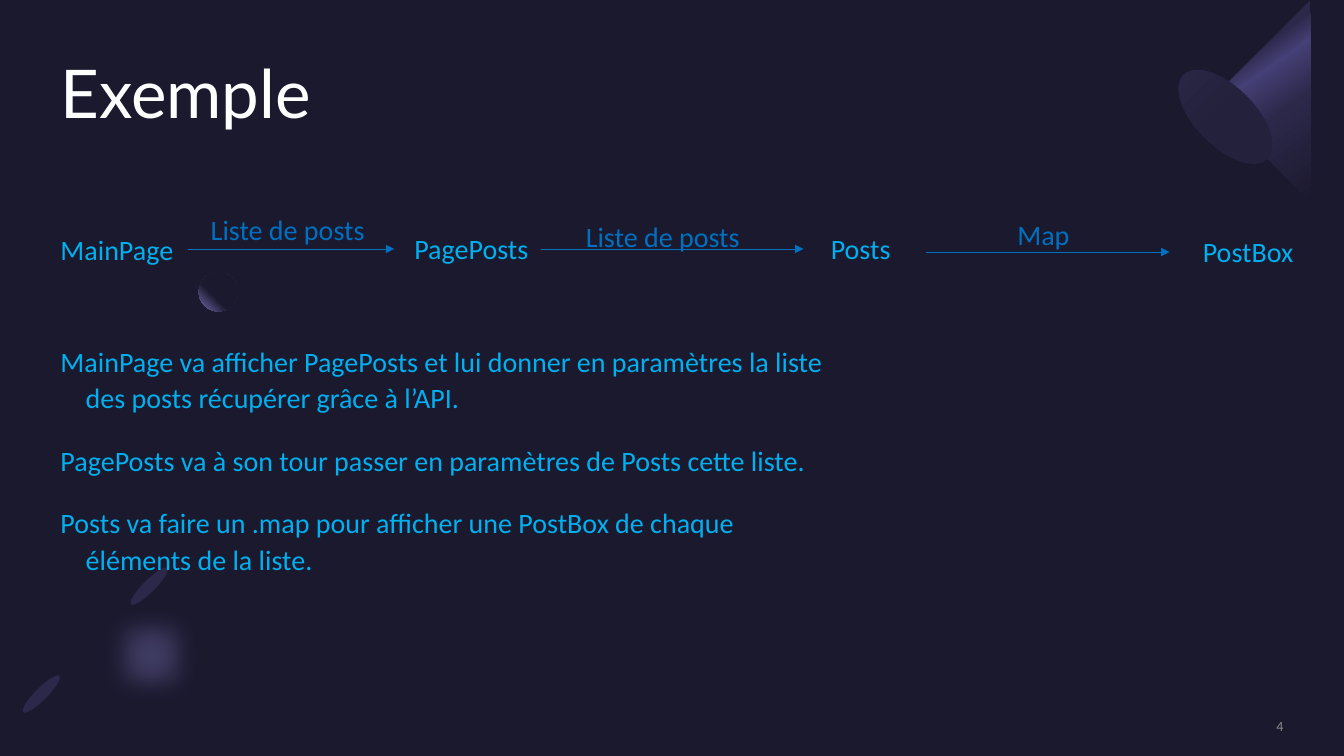
import math
from lxml import etree
from pptx import Presentation
from pptx.dml.color import RGBColor
from pptx.enum.shapes import MSO_CONNECTOR, MSO_SHAPE
from pptx.enum.text import MSO_ANCHOR, MSO_AUTO_SIZE, PP_ALIGN
from pptx.oxml import parse_xml
from pptx.oxml.ns import nsdecls, qn
from pptx.util import Inches, Pt

OVAL, STRAIGHT = MSO_SHAPE.OVAL, MSO_CONNECTOR.STRAIGHT
TOP, MIDDLE = MSO_ANCHOR.TOP, MSO_ANCHOR.MIDDLE
LEFT, RIGHT = PP_ALIGN.LEFT, PP_ALIGN.RIGHT
NIGHT = RGBColor(0x1B, 0x19, 0x2E)
DUSK = RGBColor(0x23, 0x21, 0x3C)
INDIGO = RGBColor(0x2C, 0x28, 0x4A)
VIOLET = RGBColor(0x45, 0x40, 0x75)
LILAC = RGBColor(0x77, 0x71, 0xB2)
WHITE = RGBColor(0xFF, 0xFF, 0xFF)
SKY = RGBColor(0x00, 0xB0, 0xF0)
BLUE = RGBColor(0x00, 0x70, 0xC0)
GREY = RGBColor(0x8A, 0x8A, 0x8E)

# Content
TITLE = "Exemple"
PAGE_NUMBER = "4"
MARGIN = 0.6
COMPONENTS = [("MainPage", MARGIN, 2.27), ("PagePosts", 4.11, 2.26),
              ("Posts", 8.24, 2.26), ("PostBox", 11.93, 2.29)]
# label, label left, top and width, arrow start, end and height
FLOWS = [("Liste de posts", 2.09, 2.07, 1.79, 1.86, 3.91, 2.47),
         ("Liste de posts", 5.81, 2.14, 1.72, 5.37, 7.97, 2.47),
         ("Map", 10.09, 2.12, 0.79, 9.18, 11.6, 2.5)]
EXPLANATIONS = [
    "MainPage va afficher PagePosts et lui donner en paramètres la liste "
    "des posts récupérer grâce à l’API.",
    "PagePosts va à son tour passer en paramètres de Posts cette liste.",
    "Posts va faire un .map pour afficher une PostBox de chaque "
    "éléments de la liste.",
]

presentation = Presentation()
presentation.slide_width, presentation.slide_height = Inches(13.33), Inches(7.5)
slide = presentation.slides.add_slide(presentation.slide_layouts[5])
slide.background.fill.solid()
slide.background.fill.fore_color.rgb = NIGHT
shapes = slide.shapes


def finish(shape, color):
    shape.shadow.inherit = False
    shape.line.fill.background()
    shape.fill.solid()
    shape.fill.fore_color.rgb = color
    return shape


def add_oval(left, top, width, height, rotation=0):
    shape = shapes.add_shape(OVAL, *map(Inches, (left, top, width, height)))
    shape.rotation = rotation
    return finish(shape, INDIGO)


def add_outline(points, color):
    builder = shapes.build_freeform(*points[0], scale=Inches(1))
    builder.add_line_segments(points[1:], close=True)
    return finish(builder.convert_to_shape(), color)


def set_gradient(shape, stops, direction):
    stop_xml = "".join(f'<a:gs pos="{share * 1000}"><a:srgbClr val="{color}"/></a:gs>'
                       for share, color in stops)
    solid = shape._element.spPr.find(qn("a:solidFill"))
    solid.getparent().replace(solid, parse_xml(
        f'<a:gradFill {nsdecls("a")} rotWithShape="1"><a:gsLst>{stop_xml}</a:gsLst>'
        f'{direction}</a:gradFill>'))


def linear(degrees):
    return f'<a:lin ang="{degrees * 60000}" scaled="0"/>'


def format_text(shape, texts, size, color, font="Calibri", align=LEFT, anchor=TOP,
                spacing=None, hanging=False):
    frame = shape.text_frame
    frame.margin_left = frame.margin_right = frame.margin_top = frame.margin_bottom = 0
    frame.word_wrap, frame.auto_size = True, MSO_AUTO_SIZE.NONE
    frame.vertical_anchor = anchor
    frame.text = "\n".join(texts)
    for paragraph in frame.paragraphs:
        paragraph.alignment = align
        paragraph.line_spacing = spacing
        paragraph.font.size, paragraph.font.name = Pt(size), font
        paragraph.font.color.rgb = color
        if hanging:
            paragraph.space_before, paragraph.space_after = Pt(10), Pt(8)
            properties = paragraph._p.get_or_add_pPr()
            properties.set("marL", str(Inches(0.25)))
            properties.set("indent", str(-Inches(0.25)))


def add_text(box, texts, **style):
    format_text(shapes.add_textbox(*map(Inches, box)), texts, **style)


def add_body(box, texts, color):
    add_text(box, texts, size=20, color=color, spacing=1.1, hanging=True)


# Blurred half ring, lower left
def half_ellipse(along, across, steps=40):
    tilt = math.sqrt(0.5)
    for step in range(steps + 1):
        angle = math.pi * step / steps
        u, v = along * math.cos(angle), across * math.sin(angle)
        yield 0.83 + tilt * (u + v), 6.23 + tilt * (v - u)


ring = add_outline([*half_ellipse(1.01, 1.2), *reversed([*half_ellipse(0.51, 0.6)])], LILAC)
ring_color = ring._element.spPr.find(qn("a:solidFill"))[0]
etree.SubElement(ring_color, qn("a:alpha"), val="40000")
ring_effects = ring._element.spPr.find(qn("a:effectLst"))
etree.SubElement(ring_effects, qn("a:softEdge"), rad=str(Inches(0.25)))
for left, top in [(1.42, 5.56), (0.35, 6.63)]:
    add_oval(left, top, 0.12, 0.51, 225)

# Cone, upper right, and small sphere
cone = add_outline([(12.93, 0.39), (12.61, 1.52), (11.8, 0.7)], INDIGO)
set_gradient(cone, [(30, INDIGO), (40, VIOLET), (60, INDIGO), (100, NIGHT)], linear(55))
cone_base = add_oval(11.86, 0.57, 0.59, 1.18, 135)
set_gradient(cone_base, [(50, DUSK), (100, INDIGO)], linear(90))
sphere = add_oval(1.97, 2.7, 0.39, 0.39)
set_gradient(sphere, [(60, NIGHT), (100, LILAC)],
             '<a:path path="circle"><a:fillToRect l="100000" b="100000"/></a:path>')

# Title and page number
title = shapes.title
title.left, title.top, title.width, title.height = map(Inches, (MARGIN, 0.6, 12.14, 1.46))
format_text(title, [TITLE], size=48, color=WHITE, font="Lato", spacing=0.9)
add_text((10.88, 7.12, 1.85, 0.17), [PAGE_NUMBER], size=10, color=GREY,
         align=RIGHT, anchor=MIDDLE)

# Component chain
for name, left, top in COMPONENTS:
    add_body((left, top, 1.26, 0.42), [name], SKY)
for label, left, top, width, start, end, height in FLOWS:
    arrow = shapes.add_connector(STRAIGHT, *map(Inches, (start, height, end, height)))
    arrow.line.color.rgb, arrow.line.width = BLUE, Pt(0.5)
    etree.SubElement(arrow.line._get_or_add_ln(), qn("a:tailEnd"), type="triangle")
    etree.SubElement(arrow._element.spPr, qn("a:effectLst"))
    add_body((left, top, width, 0.42), [label], BLUE)

# Explanations
add_body((MARGIN, 3.38, 7.61, 2.8), EXPLANATIONS, SKY)

presentation.save("out.pptx")
